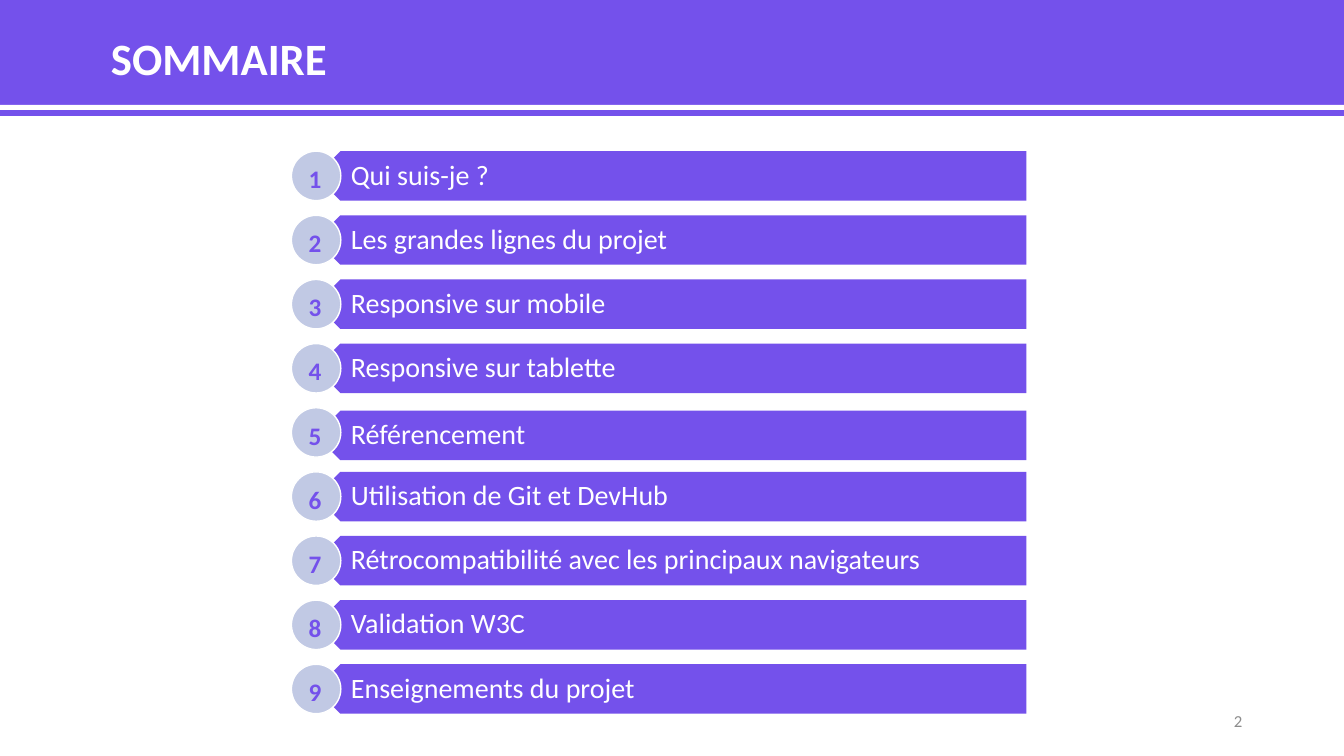
from dataclasses import dataclass

from pptx import Presentation
from pptx.dml.color import RGBColor
from pptx.enum.shapes import MSO_SHAPE
from pptx.enum.text import MSO_ANCHOR, PP_ALIGN
from pptx.util import Inches, Pt

RECT, PENTAGON, OVAL = MSO_SHAPE.RECTANGLE, MSO_SHAPE.PENTAGON, MSO_SHAPE.OVAL
TOP, MIDDLE = MSO_ANCHOR.TOP, MSO_ANCHOR.MIDDLE
LEFT, RIGHT = PP_ALIGN.LEFT, PP_ALIGN.RIGHT

VIOLET, LAVENDER, WHITE, GREY = "7451EB", "C1C9E4", "FFFFFF", "8C8C8C"
SLIDE_W, SLIDE_H = 13.33, 7.5
FIRST_Y, LAST_Y, ROW_H = 1.5, 6.59, 0.49


@dataclass
class Item:
    label: str
    bar_shift: float = 0


ITEMS = [
    Item("Qui suis-je ?"),
    Item("Les grandes lignes du projet"),
    Item("Responsive sur mobile"),
    Item("Responsive sur tablette"),
    Item("Référencement", bar_shift=0.03),
    Item("Utilisation de Git et DevHub"),
    Item("Rétrocompatibilité avec les principaux navigateurs"),
    Item("Validation W3C"),
    Item("Enseignements du projet"),
]
PITCH = (LAST_Y - FIRST_Y) / (len(ITEMS) - 1)


def rgb(color: str) -> RGBColor:
    return RGBColor.from_string(color)


def add_shape(s, kind, x: float, y: float, w: float, h: float, fill: str, line: str = ""):
    sp = s.shapes.add_shape(kind, Inches(x), Inches(y), Inches(w), Inches(h))
    sp.shadow.inherit = False
    sp.fill.solid()
    sp.fill.fore_color.rgb = rgb(fill)
    if line:
        sp.line.color.rgb = rgb(line)
        sp.line.width = Pt(1)
    else:
        sp.line.fill.background()
    return sp


def add_box(s, x: float, y: float, w: float, h: float):
    return s.shapes.add_textbox(Inches(x), Inches(y), Inches(w), Inches(h))


def set_text(sp, text: str, *, size: float, color: str, bold: bool = False,
             align=LEFT, anchor=MIDDLE, insets=(0.1, 0.05, 0.1, 0.05),
             line_spacing: float = 1, space_after: float = 0) -> None:
    tf = sp.text_frame
    tf.word_wrap = True
    tf.vertical_anchor = anchor
    tf.margin_left, tf.margin_top, tf.margin_right, tf.margin_bottom = map(Inches, insets)
    p = tf.paragraphs[0]
    p.alignment = align
    p.line_spacing = line_spacing
    p.space_after = Pt(space_after)
    r = p.add_run()
    r.text = text
    r.font.name = "Calibri"
    r.font.size = Pt(size)
    r.font.bold = bold
    r.font.color.rgb = rgb(color)


def add_item(s, number: int, item: Item) -> None:
    y = FIRST_Y + (number - 1) * PITCH
    bar_y = y + item.bar_shift
    bar = add_shape(s, PENTAGON, 3.13, bar_y, 7.05, ROW_H, VIOLET)
    bar.rotation = 180
    label = add_box(s, 3.26, bar_y, 6.92, ROW_H)
    set_text(label, item.label, size=20, color=WHITE, insets=(0.22, 0.08, 0.16, 0.08),
             line_spacing=0.9, space_after=7)
    badge = add_shape(s, OVAL, 2.89, y, ROW_H, ROW_H, LAVENDER, line=WHITE)
    set_text(badge, str(number), size=18, color=VIOLET, bold=True, anchor=TOP)


def main() -> None:
    prs = Presentation()
    prs.slide_width, prs.slide_height = Inches(SLIDE_W), Inches(SLIDE_H)
    s = prs.slides.add_slide(prs.slide_layouts[6])

    # Title band with its white stripe
    band = add_shape(s, RECT, 0, 0, SLIDE_W, 1.15, VIOLET)
    set_text(band, "SOMMAIRE", size=32, color=WHITE, bold=True, insets=(1.1, 0.05, 0.1, 0.05))
    add_shape(s, RECT, 0, 1.04, SLIDE_W, 0.05, WHITE)

    # Numbered contents
    for number, item in enumerate(ITEMS, 1):
        add_item(s, number, item)

    # Slide number
    set_text(add_box(s, 9.42, 6.95, 3, 0.4), "2", size=12, color=GREY, align=RIGHT)

    prs.save("out.pptx")


if __name__ == "__main__":
    main()
